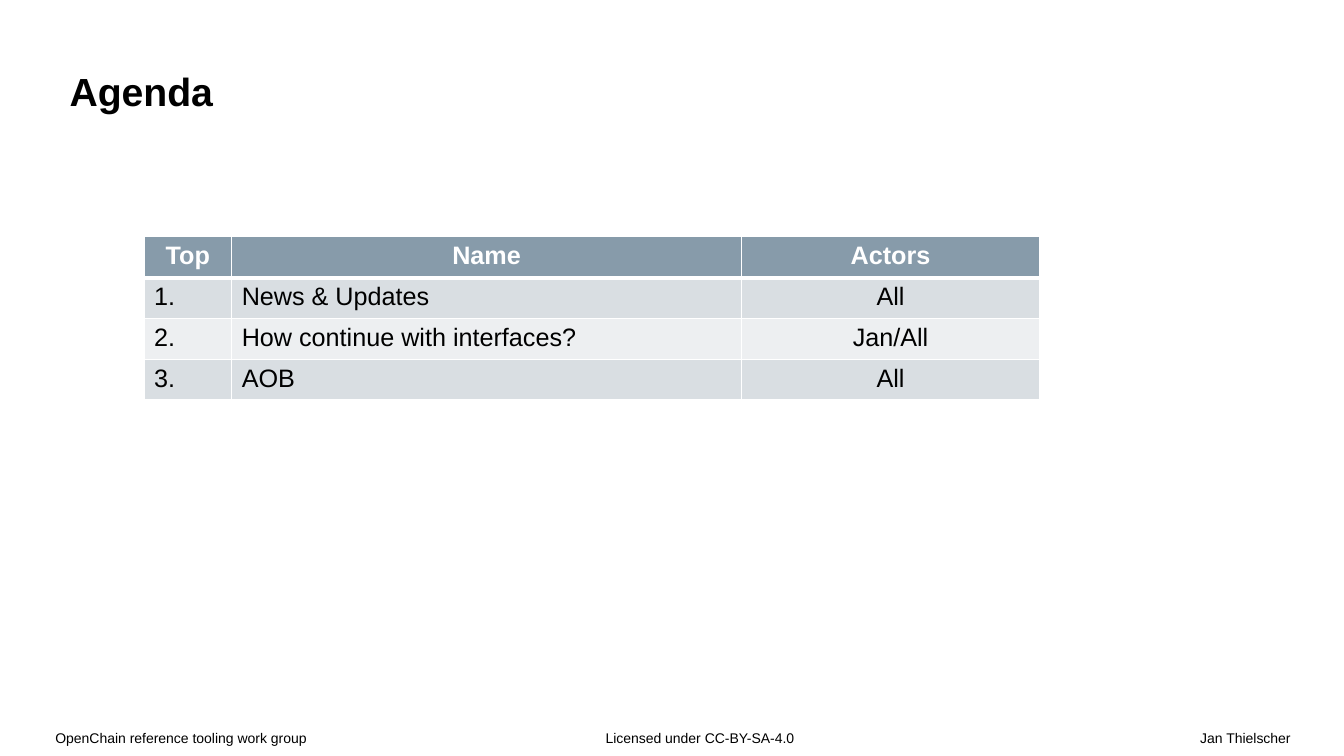
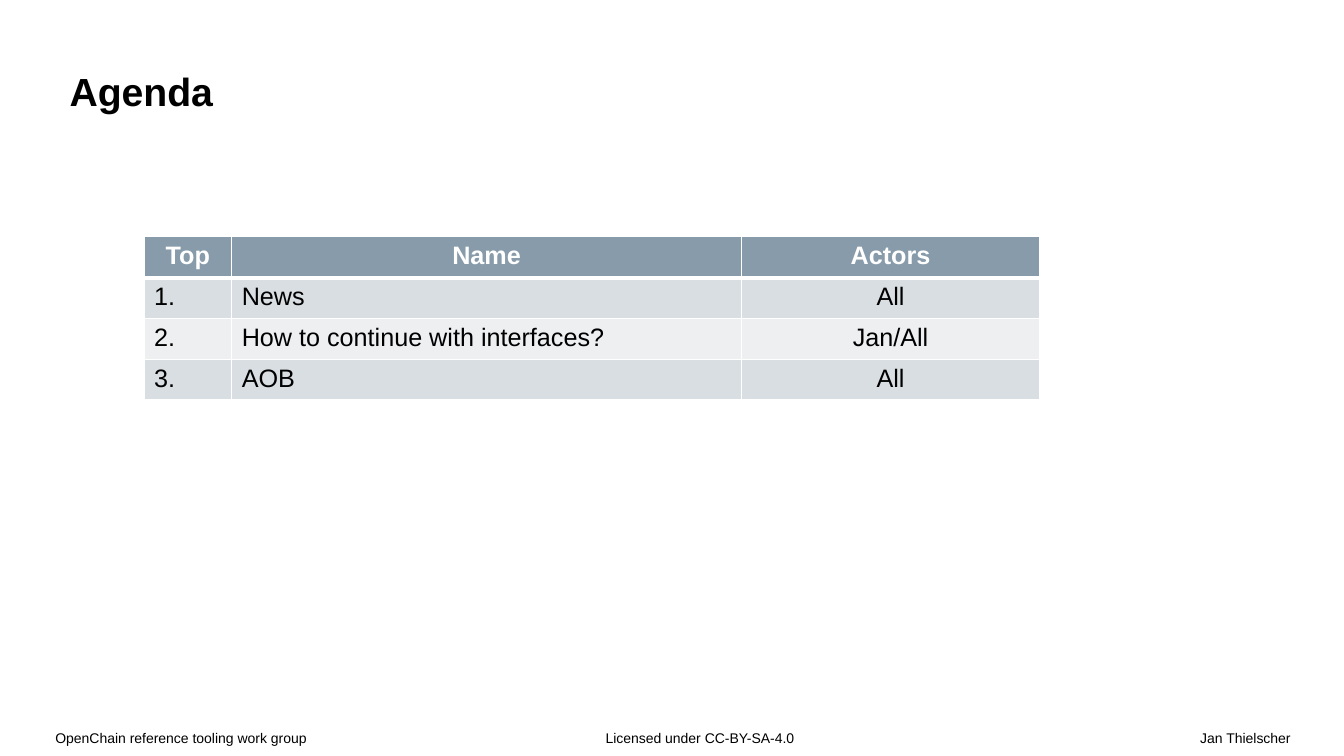
from dataclasses import dataclass

from lxml.etree import SubElement
from pptx import Presentation
from pptx.dml.color import RGBColor
from pptx.enum.text import MSO_ANCHOR as Anchor, MSO_AUTO_SIZE as AutoSize, PP_ALIGN as Align
from pptx.oxml.ns import qn
from pptx.util import Pt

PX = 9144  # EMU in one px, 100 px to the inch


@dataclass(frozen=True)
class Theme:
    font: str = "Arial"
    ink: str = "000000"
    white: str = "FFFFFF"
    header: str = "879BAA"
    bands: tuple = ("D9DEE2", "EDEFF1")
    title_size: int = 28
    table_size: int = 18
    footer_size: int = 10


THEME = Theme()
WIDTH, HEIGHT = 1334, 750
SIDES = ("left", "top", "right", "bottom")

# Footer: text, left, width, insets, alignment
FOOTER_TOP, FOOTER_HEIGHT = 722, 28
FOOTERS = [
    ("OpenChain reference tooling work group", 31, 340, (24, 0, 0, 13), Align.LEFT),
    ("Licensed under CC-BY-SA-4.0", 532, 301, (69, 0, 0, 13), Align.LEFT),
    ("Jan Thielscher", 414, 920, (0, 0, 53, 13), Align.RIGHT),
]

# Agenda table
TABLE_LEFT, TABLE_TOP, TABLE_HEIGHT = 143, 235, 162
COLUMNS = [87, 506, 296]
HEADINGS = ("Top", "Name", "Actors")
AGENDAS = [
    [("News & Updates", "All"), ("How continue with interfaces?", "Jan/All"), ("AOB", "All")],
    [("News", "All"), ("How to continue with interfaces?", "Jan/All"), ("AOB", "All")],
]


def write(frame, text, size, color=THEME.ink, bold=False, align=Align.LEFT, spacing=1.0):
    para = frame.paragraphs[0]
    para.alignment, para.line_spacing = align, spacing
    span = para.add_run()
    span.text = text
    span.font.color.rgb = RGBColor.from_string(color)
    for name, value in {"name": THEME.font, "size": Pt(size), "bold": bold}.items():
        setattr(span.font, name, value)


def set_frame(box, insets, anchor):
    frame = box.text_frame
    settings = {f"margin_{side}": inset * PX for side, inset in zip(SIDES, insets)}
    settings |= {"word_wrap": True, "auto_size": AutoSize.NONE, "vertical_anchor": anchor}
    for name, value in settings.items():
        setattr(frame, name, value)
    return frame


deck = Presentation()
deck.slide_width, deck.slide_height = WIDTH * PX, HEIGHT * PX
title_only = deck.slide_layouts[5]

for topics in AGENDAS:
    page = deck.slides.add_slide(title_only)

    # Footers
    for text, left, width, insets, align in FOOTERS:
        box = page.shapes.add_textbox(left * PX, FOOTER_TOP * PX, width * PX, FOOTER_HEIGHT * PX)
        frame = set_frame(box, insets, Anchor.TOP)
        write(frame, text, THEME.footer_size, align=align, spacing=1.1)

    # Title
    title = page.shapes.title
    place = {"left": 0, "top": 0, "width": WIDTH, "height": 139}
    for name, value in place.items():
        setattr(title, name, value * PX)
    frame = set_frame(title, (69, 43, 232, 26), Anchor.BOTTOM)
    write(frame, "Agenda", THEME.title_size, bold=True)

    # Table, with numbered topics below the headings
    rows = [HEADINGS] + [(f"{number}.", *topic) for number, topic in enumerate(topics, 1)]
    table = page.shapes.add_table(
        len(rows), len(COLUMNS), TABLE_LEFT * PX, TABLE_TOP * PX,
        sum(COLUMNS) * PX, TABLE_HEIGHT * PX,
    ).table
    for column, width in zip(table.columns, COLUMNS):
        column.width = width * PX
    for row, texts in enumerate(rows):
        heading = row == 0
        fill = THEME.header if heading else THEME.bands[(row - 1) % 2]
        color = THEME.white if heading else THEME.ink
        # Border widths in points; the line below the headings is thicker
        borders = {"L": 1, "R": 1, "T": 3 if row == 1 else 1, "B": 3 if heading else 1}
        for column, text in enumerate(texts):
            cell = table.cell(row, column)
            align = Align.CENTER if heading or column == 2 else Align.LEFT
            write(cell.text_frame, text, THEME.table_size, color, heading, align)
            properties = cell._tc.get_or_add_tcPr()
            for side, points in borders.items():
                line = SubElement(properties, qn(f"a:ln{side}"), w=str(Pt(points)))
                paint = SubElement(line, qn("a:solidFill"))
                SubElement(paint, qn("a:srgbClr"), val=THEME.white)
            cell.fill.solid()
            cell.fill.fore_color.rgb = RGBColor.from_string(fill)

deck.save("out.pptx")
